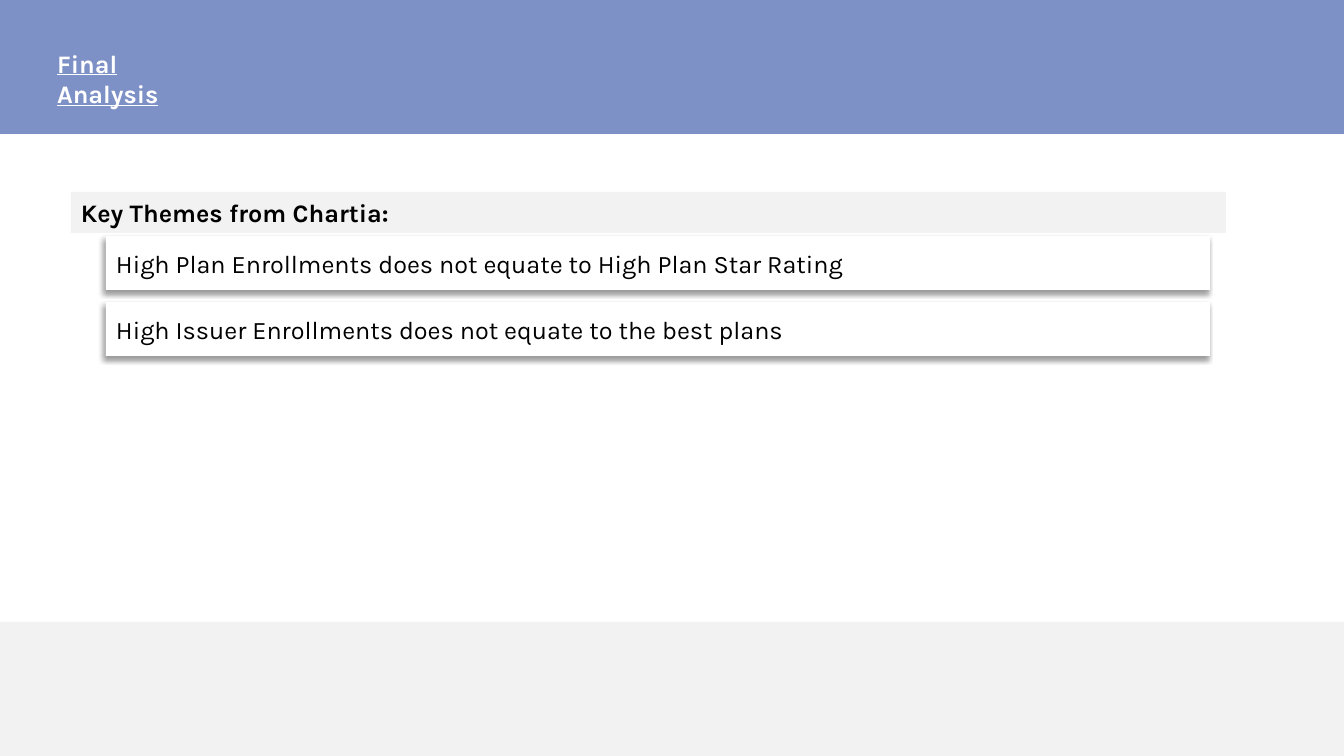
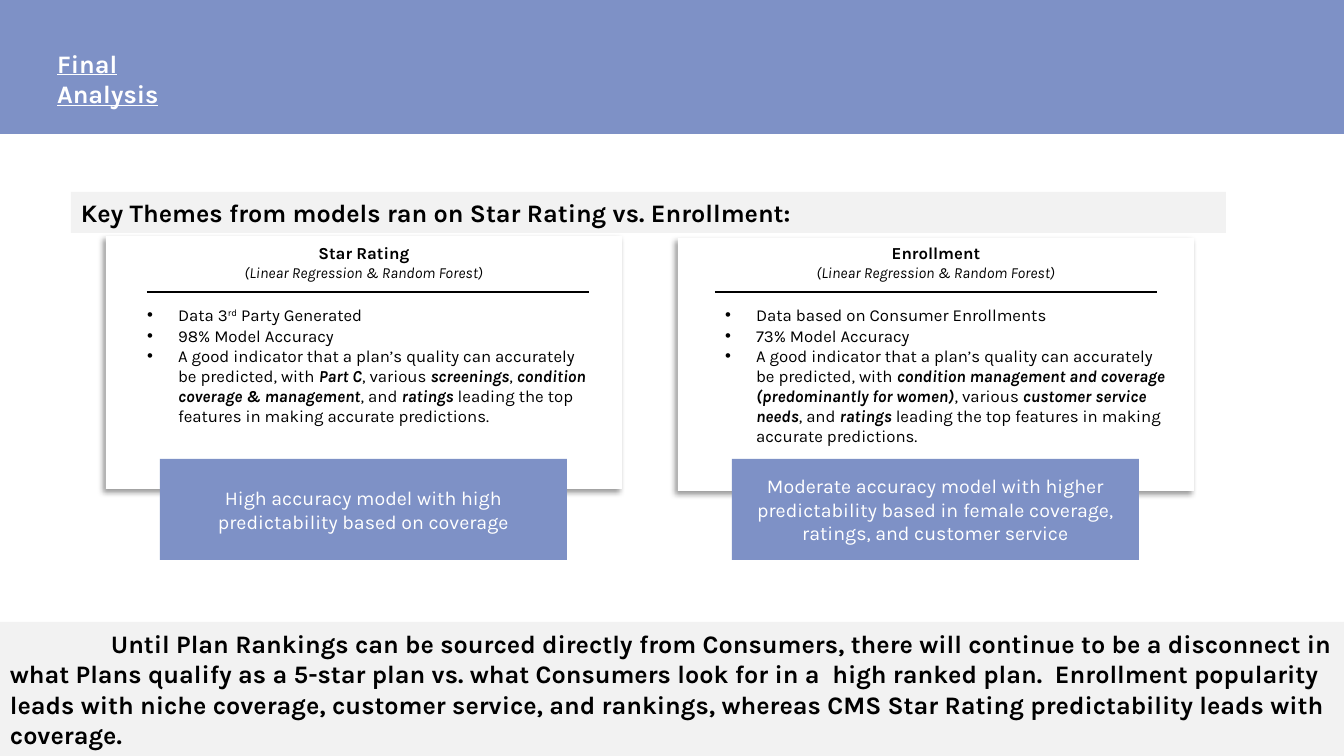
import dataclasses

import lxml.etree
import pptx
import pptx.dml.color
import pptx.enum.shapes
import pptx.enum.text
import pptx.oxml.ns
import pptx.util

RGB = pptx.dml.color.RGBColor.from_string
ALIGN = pptx.enum.text.PP_ALIGN
ANCHOR = pptx.enum.text.MSO_ANCHOR
RECT = pptx.enum.shapes.MSO_SHAPE.RECTANGLE
STRAIGHT = pptx.enum.shapes.MSO_CONNECTOR.STRAIGHT
QN = pptx.oxml.ns.qn

SLIDE_W, SLIDE_H = 1344, 756
SCALE = 12192000 / SLIDE_W
TITLE_ONLY, TWO_CONTENT = 5, 3
BAND_H = 134


@dataclasses.dataclass(frozen=True)
class Theme:
    """Colours, font and type sizes of the deck."""
    font: str = "Karla"
    blue: str = "7E91C6"
    grey: str = "F2F2F2"
    white: str = "FFFFFF"
    black: str = "000000"
    large: int = 18
    medium: int = 14
    body: int = 12
    small: int = 11


THEME = Theme()
KEY = {"bold": True, "italic": True}
SUP = {"baseline": 30000}
NOTE = {"size": THEME.small, "bold": False, "italic": True}

METHOD = "(Linear Regression & Random Forest)"
LEAD = "A good indicator that a plan’s quality can accurately be predicted, with "
TAIL = " leading the top features in making accurate predictions."
DASHBOARD_THEMES = [
    "High Plan Enrollments does not equate to High Plan Star Rating",
    "High Issuer Enrollments does not equate to the best plans",
]
MODELS = [
    {
        "name": "Star Rating", "drop": 0, "rule_dx": 41, "list_dx": 31,
        "points": [
            ["Data 3", ("rd", SUP), " Party Generated"],
            ["98% Model Accuracy"],
            [LEAD, ("Part C", KEY), ", various ", ("screenings", KEY), ", ",
             ("condition coverage & management", KEY), ", and ",
             ("ratings", KEY), TAIL],
        ],
        "verdict": "High accuracy model with high predictability based on coverage",
    },
    {
        "name": "Enrollment", "drop": 2, "rule_dx": 37, "list_dx": 37,
        "points": [
            ["Data based on Consumer Enrollments"],
            ["73% Model Accuracy"],
            [LEAD,
             ("condition management and coverage (predominantly for women)", KEY),
             ", various ", ("customer service needs", KEY), ", and ",
             ("ratings", KEY), TAIL],
        ],
        "verdict": "Moderate accuracy model with higher predictability based in "
                   "female coverage, ratings, and customer service",
    },
]
CONCLUSION = (
    "Until Plan Rankings can be sourced directly from Consumers, there will "
    "continue to be a disconnect in what Plans qualify as a 5-star plan vs. what "
    "Consumers look for in a  high ranked plan.  Enrollment popularity leads with "
    "niche coverage, customer service, and rankings, whereas CMS Star Rating "
    "predictability leads with coverage."
)


def px(n):
    """Turn px into EMU."""
    return pptx.util.Emu(round(n * SCALE))


def apply(obj, values):
    """Set each attribute of an object from a dict."""
    for name, value in values.items():
        setattr(obj, name, value)


def place(sp, box):
    """Move and size a shape to a px box."""
    apply(sp, dict(zip(("left", "top", "width", "height"), map(px, box))))


def write(sp, paras, size, color=THEME.black, align=ALIGN.LEFT, anchor=ANCHOR.TOP,
          margin=0, indent=0, **font):
    """Write paragraphs of plain or (text, format) runs into a shape."""
    tf = sp.text_frame
    apply(tf, {"word_wrap": True, "vertical_anchor": anchor,
               "auto_size": pptx.enum.text.MSO_AUTO_SIZE.NONE})
    for i, runs in enumerate(paras):
        p = tf.add_paragraph() if i else tf.paragraphs[0]
        apply(p, {"alignment": align, "space_before": pptx.util.Pt(0)})
        pPr = p._p.get_or_add_pPr()
        pPr.set("marL", str(px(margin)))
        pPr.set("indent", str(px(indent)))
        for run in runs:
            text, extra = (run, {}) if isinstance(run, str) else run
            values = {"name": THEME.font, "size": size, **font, **extra}
            baseline = values.pop("baseline", None)
            values["size"] = pptx.util.Pt(values["size"])
            r = p.add_run()
            r.text = text
            apply(r.font, values)
            r.font.color.rgb = RGB(color)
            if baseline:
                r._r.get_or_add_rPr().set("baseline", str(baseline))


def add_rect(s, box, fill, raised=False):
    """Add a borderless rectangle, with a soft shadow when raised."""
    sp = s.shapes.add_shape(RECT, *map(px, box))
    sp.fill.solid()
    sp.fill.fore_color.rgb = RGB(fill)
    sp.line.fill.background()
    sp.shadow.inherit = False
    if raised:
        effects = sp.element.spPr.find(QN("a:effectLst"))
        shadow = lxml.etree.SubElement(
            effects, QN("a:outerShdw"), blurRad="50800", dist="38100",
            dir="8100000", algn="tr", rotWithShape="0")
        clr = lxml.etree.SubElement(shadow, QN("a:srgbClr"), val=THEME.black)
        lxml.etree.SubElement(clr, QN("a:alpha"), val="40000")
    return sp


def add_rule(s, x, y, w):
    """Add a horizontal black rule."""
    line = s.shapes.add_connector(STRAIGHT, px(x), px(y), px(x + w), px(y))
    line.line.color.rgb = RGB(THEME.black)
    line.line.width = pptx.util.Pt(1.5)
    lxml.etree.SubElement(line.element.spPr, QN("a:effectLst"))


def bring_forward(sp):
    """Put a placeholder in front of the shapes drawn so far."""
    sp.element.getparent().append(sp.element)


def add_frame(prs, layout, heading):
    """Add a slide with bands, title and heading; return it and its footer."""
    s = prs.slides.add_slide(prs.slide_layouts[layout])
    add_rect(s, (0, 0, SLIDE_W, BAND_H), THEME.blue)
    footer = add_rect(s, (0, SLIDE_H - BAND_H, SLIDE_W, BAND_H), THEME.grey)
    title = s.shapes.title
    bring_forward(title)
    place(title, (47, 43, 140, 71))
    write(title, [["Final Analysis"]], THEME.large, THEME.white,
          bold=True, underline=True)
    bar = add_rect(s, (71, 192, 1155, 41), THEME.grey)
    write(bar, [[heading]], THEME.large, bold=True)
    return s, footer


def add_theme_bars(s, box, themes, gap):
    """Stack one raised bar per theme in a box."""
    x, y, w, h = box
    bar_h = (h - gap * (len(themes) - 1)) / len(themes)
    for i, theme in enumerate(themes):
        bar = add_rect(s, (x, y + i * (bar_h + gap), w, bar_h), THEME.white, True)
        write(bar, [[theme]], THEME.large, anchor=ANCHOR.MIDDLE)


def add_model(s, box, model, body):
    """Add a model card with header, rule, list and verdict."""
    x, y, w, h = box
    add_rect(s, (x, y + model["drop"], w, h), THEME.white, True)
    header = s.shapes.add_textbox(*map(px, (x, y + 2, w, 49)))
    write(header, [[(model["name"], {"bold": True})], [(METHOD, NOTE)]],
          THEME.body, align=ALIGN.CENTER)
    add_rule(s, x + model["rule_dx"], y + 56, 442)
    bring_forward(body)
    place(body, (x + model["list_dx"], y + 64, 462, 152))
    write(body, model["points"], THEME.body, margin=31, indent=-31)
    verdict = add_rect(s, (x + 54, y + 223, 407, 101), THEME.blue)
    write(verdict, [[model["verdict"]]], THEME.medium, THEME.white,
          ALIGN.CENTER, ANCHOR.MIDDLE)


def build_themes(prs):
    """Build the slide of dashboard themes."""
    s, _ = add_frame(prs, TITLE_ONLY, "Key Themes from Chartia:")
    add_theme_bars(s, (106, 236, 1104, 120), DASHBOARD_THEMES, 12)


def build_models(prs):
    """Build the slide comparing the two models."""
    s, footer = add_frame(prs, TWO_CONTENT,
                          "Key Themes from models ran on Star Rating vs. Enrollment:")
    for i, model in enumerate(MODELS):
        add_model(s, (106 + i * 572, 236, 516, 253), model, s.placeholders[i + 1])
    write(footer, [[CONCLUSION]], THEME.large, anchor=ANCHOR.MIDDLE,
          indent=101, bold=True)


def main():
    """Build and save the deck."""
    prs = pptx.Presentation()
    apply(prs, {"slide_width": px(SLIDE_W), "slide_height": px(SLIDE_H)})
    build_themes(prs)
    build_models(prs)
    prs.save("out.pptx")


if __name__ == "__main__":
    main()
